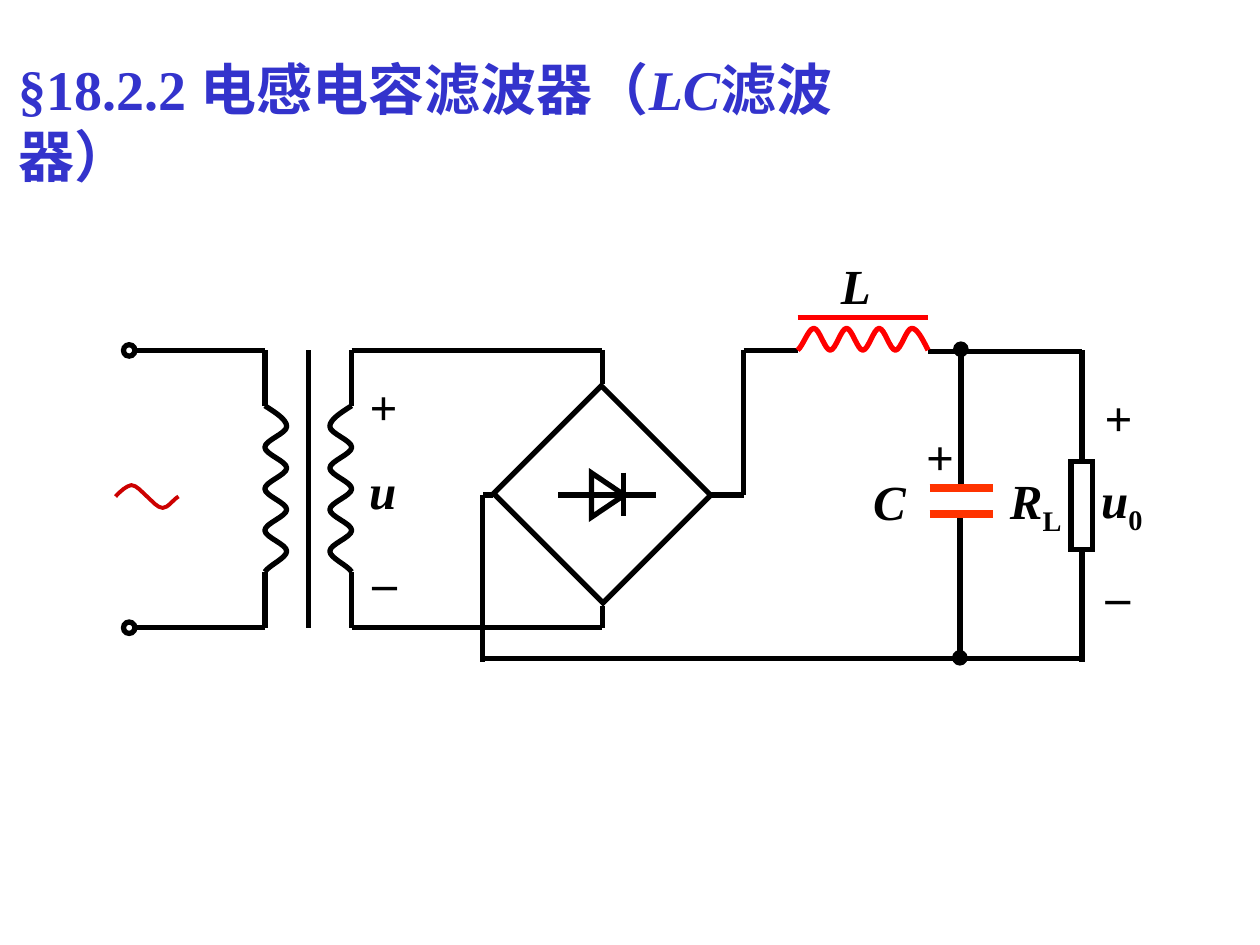
from dataclasses import dataclass
from itertools import pairwise

from pptx import Presentation
from pptx import util as u
from pptx.dml.color import RGBColor
from pptx.enum import shapes as kinds
from pptx.enum import text as txt
from pptx.oxml import ns, xmlchemy

Cm = u.Cm
Spot = tuple[float, float]


@dataclass(frozen=True)
class Theme:
    font: str = "Times New Roman"
    head: str = "3333CC"
    ink: str = "000000"
    coil: str = "FF0000"
    plate: str = "FF3300"
    mains: str = "CC0000"
    big: float = 32
    mid: float = 28
    line: float = 3
    thick: float = 4.5
    thin: float = 2.25


@dataclass(frozen=True)
class Wire:
    spots: tuple[Spot, ...]
    color: str
    width: float
    dot: bool = False


@dataclass(frozen=True)
class Part:
    kind: kinds.MSO_SHAPE
    box: tuple[float, float, float, float]
    turn: float = 0


@dataclass(frozen=True)
class Label:
    text: str
    left: float
    top: float
    width: float
    high: float = 1.45
    slant: bool = True
    sub: str = ""
    wrap: bool = True


T = Theme()
TOP, LOW, MID, BASE = 7.06, 12.65, 9.98, 13.28
COIL_TOP, COIL_LOW, SWING = 8.18, 11.53, 0.44
PRIME, CORE, SECOND, BRIDGE = 5.34, 6.22, 7.09, 12.14
LEFT, RIGHT, LOAD = 9.73, 14.99, 21.81
IND_L, IND_R = 16.08, 18.71
HUMPS = (0, 0.5, 1, *(1, 1, 0, 0, 0, 1) * 3, 1, 1, 0.2, 0)
CYCLE = (0, 0.5, 0.9, 1, 1, 0.4, 0, -0.4, -1, -1, -1, -0.25, 0)


def wire(*spots: Spot, color: str = T.ink, width: float = T.line, dot: bool = False) -> Wire:
    return Wire(spots, color, width, dot)


def style(line, color: str, width: float) -> None:
    line.color.rgb = RGBColor.from_string(color)
    line.width = u.Pt(width)


def draw_wire(slide, item: Wire) -> None:
    for (x1, y1), (x2, y2) in pairwise(item.spots):
        link = slide.shapes.add_connector(
            kinds.MSO_CONNECTOR.STRAIGHT, Cm(x1), Cm(y1), Cm(x2), Cm(y2))
        style(link.line, item.color, item.width)
        if item.dot:
            tail = xmlchemy.OxmlElement("a:tailEnd")
            tail.set("type", "oval")
            link.line._get_or_add_ln().append(tail)
        link._element.spPr.append(xmlchemy.OxmlElement("a:effectLst"))


def draw_part(slide, item: Part) -> None:
    shape = slide.shapes.add_shape(item.kind, *map(Cm, item.box))
    shape.rotation = item.turn
    shape.shadow.inherit = False
    shape.fill.background()
    style(shape.line, T.ink, T.line)
    miter = xmlchemy.OxmlElement("a:miter")
    miter.set("lim", "800000")
    shape.line._get_or_add_ln().append(miter)


def draw_curve(slide, spots: list[Spot], color: str = T.ink, width: float = T.line) -> None:
    """Draw Bezier arcs through every third spot, the others being their handles."""
    first, *rest = [(Cm(x), Cm(y)) for x, y in spots]
    pen = slide.shapes.build_freeform(*first)
    pen.add_line_segments(rest, close=False)
    shape = pen.convert_to_shape()
    legs = list(shape._element.iter(ns.qn("a:lnTo")))
    for start in range(0, len(legs), 3):
        arc = xmlchemy.OxmlElement("a:cubicBezTo")
        legs[start].addprevious(arc)
        for leg in legs[start:start + 3]:
            arc.append(leg[0])
            leg.getparent().remove(leg)
    shape.shadow.inherit = False
    shape.fill.background()
    style(shape.line, color, width)


def bend(levels: tuple[float, ...], start: float, end: float, base: float,
         swing: float) -> list[Spot]:
    step = (end - start) / (len(levels) - 1)
    return [(start + step * n, base + swing * level) for n, level in enumerate(levels)]


def face(run, size: float, color: str, slant: bool) -> None:
    font = run.font
    font.name, font.size, font.bold, font.italic = T.font, u.Pt(size), True, slant
    font.color.rgb = RGBColor.from_string(color)


def draw_label(slide, item: Label) -> None:
    box = slide.shapes.add_textbox(*map(Cm, (item.left, item.top, item.width, item.high)))
    box.text_frame.word_wrap = item.wrap
    para = box.text_frame.paragraphs[0]
    para.text = item.text
    face(para.runs[0], T.mid, T.ink, item.slant)
    if item.sub:
        run = para.add_run()
        run.text = item.sub
        face(run, T.mid, T.ink, False)
        run._r.get_or_add_rPr().set("baseline", "-25000")


def draw_title(slide) -> None:
    title = slide.shapes.title
    title.left, title.top, title.width, title.height = map(Cm, (0.11, 0.97, 18.87, 2.97))
    frame = title.text_frame
    frame.word_wrap = True
    frame.auto_size = txt.MSO_AUTO_SIZE.NONE
    frame.vertical_anchor = txt.MSO_ANCHOR.TOP
    para = frame.paragraphs[0]
    para.alignment = txt.PP_ALIGN.LEFT
    for words, slant in (("§18.2.2 电感电容滤波器（", False), ("LC", True), ("滤波器）", False)):
        run = para.add_run()
        run.text = words
        face(run, T.big, T.head, slant)


WIRES = [
    wire((2.72, TOP), (PRIME, TOP), (PRIME, COIL_TOP)),
    wire((2.72, LOW), (PRIME, LOW), (PRIME, COIL_LOW)),
    wire((CORE, TOP), (CORE, LOW)),
    wire((SECOND, COIL_TOP), (SECOND, TOP), (BRIDGE, TOP), (BRIDGE, 7.75)),
    wire((SECOND, COIL_LOW), (SECOND, LOW), (BRIDGE, LOW), (BRIDGE, 12.22)),
    wire((11.25, MID), (13.23, MID)),
    wire((12.57, 9.53), (12.57, 10.41)),
    wire((9.93, MID), (LEFT, MID), (LEFT, 13.34)),
    wire((LEFT, BASE), (LOAD, BASE)),
    wire((14.33, MID), (RIGHT, MID), (RIGHT, TOP), (IND_L, TOP)),
    wire((IND_L, 6.4), (IND_R, 6.4), color=T.coil),
    wire((IND_R, 7.09), (LOAD, 7.09)),
    wire((LOAD, 9.3), (LOAD, TOP)),
    wire((LOAD, 11.1), (LOAD, 13.34)),
    wire((19.37, 9.78), (19.37, 7.04), dot=True),
    wire((19.35, 10.41), (19.35, 13.26), dot=True),
    *(wire((18.74, y), (20.01, y), color=T.plate, width=T.thick) for y in (9.83, 10.36)),
]
PARTS = [
    *(Part(kinds.MSO_SHAPE.OVAL, (2.49, y - 0.11, 0.23, 0.23)) for y in (TOP, LOW)),
    Part(kinds.MSO_SHAPE.RECTANGLE, (10.58, 8.43, 3.12, 3.07), 45),
    Part(kinds.MSO_SHAPE.ISOSCELES_TRIANGLE, (11.81, 9.65, 0.89, 0.66), 90),
    Part(kinds.MSO_SHAPE.RECTANGLE, (21.59, 9.3, 0.43, 1.78)),
]
LABELS = [
    Label("C", 17.35, 9.38, 1.73),
    Label("u", 7.19, 9.15, 1.55),
    Label("L", 16.7, 5.03, 1.12, wrap=False),
    Label("R", 20.11, 9.35, 1.8, 1.6, sub="L"),
    Label("u", 21.95, 9.33, 1.68, 1.6, sub="0"),
    *(Label("+", x, y, 1.07, slant=False, wrap=False)
      for x, y in ((7.2, 7.47), (22.02, 7.69), (18.42, 8.47))),
    *(Label("–", x, y, 0.99, slant=False, wrap=False)
      for x, y in ((7.26, 11.0), (22.04, 11.28))),
]


def main() -> None:
    deck = Presentation()
    deck.slide_width, deck.slide_height = Cm(25.4), Cm(19.05)
    slide = deck.slides.add_slide(deck.slide_layouts[5])
    draw_title(slide)
    for item in WIRES:
        draw_wire(slide, item)
    for item in PARTS:
        draw_part(slide, item)
    for base, swing in ((PRIME, SWING), (SECOND, -SWING)):
        draw_curve(slide, [(x, y) for y, x in bend(HUMPS, COIL_TOP, COIL_LOW, base, swing)])
    draw_curve(slide, bend(HUMPS, IND_R, IND_L, TOP, -SWING), T.coil)
    draw_curve(slide, bend(CYCLE, 2.33, 3.6, 10.01, -0.23), T.mains, T.thin)
    for item in LABELS:
        draw_label(slide, item)
    deck.save("out.pptx")


main()
